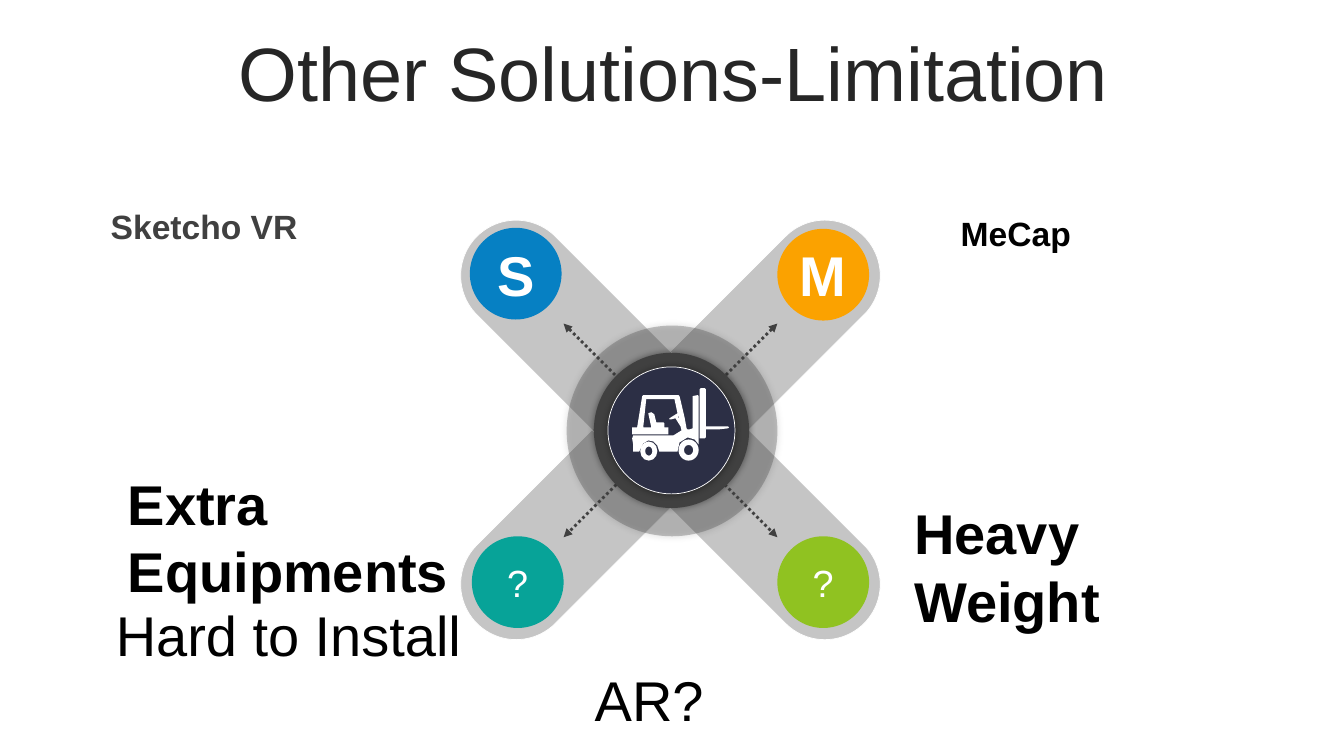
from dataclasses import dataclass

import lxml.etree
import pptx
import pptx.dml.color
import pptx.enum.dml
import pptx.enum.shapes
import pptx.enum.text
import pptx.oxml.ns
import pptx.util

RGBColor = pptx.dml.color.RGBColor
Shape = pptx.enum.shapes.MSO_SHAPE
Align = pptx.enum.text.PP_ALIGN
AutoSize = pptx.enum.text.MSO_AUTO_SIZE
qn = pptx.oxml.ns.qn

EMU_PER_PX = 9144
FONT = "Arial"
WHITE = RGBColor(0xFF, 0xFF, 0xFF)
BLACK = RGBColor(0x00, 0x00, 0x00)
CHARCOAL = RGBColor(0x40, 0x40, 0x40)
TITLE_GREY = RGBColor(0x26, 0x26, 0x26)
NAVY = RGBColor(0x2C, 0x2F, 0x45)
BLUE = RGBColor(0x06, 0x80, 0xC3)
ORANGE = RGBColor(0xFB, 0xA2, 0x00)
TEAL = RGBColor(0x07, 0xA3, 0x98)
GREEN = RGBColor(0x90, 0xC2, 0x21)

Contour = list[tuple[int, int]]


@dataclass(frozen=True)
class Figure:
    kind: int
    left: int
    top: int
    width: int
    height: int
    fill: RGBColor
    opacity: int = 100
    rotation: int = 0
    adjustment: float | None = None
    outlined: bool = False
    shadowed: bool = False
    text: str = ""


@dataclass(frozen=True)
class Label:
    left: int
    top: int
    width: int
    height: int
    lines: tuple[str, ...]
    size: int = 40
    colour: RGBColor = BLACK
    bold: bool = True
    wrap: bool = True
    align: Align = Align.LEFT


ARMS = [
    Figure(Shape.ROUNDED_RECTANGLE, 610, 155, 110, 543, CHARCOAL, 30, angle, 0.5, outlined=True)
    for angle in (45, 315)
]
HALO = Figure(Shape.OVAL, 562, 323, 209, 209, CHARCOAL, 30, shadowed=True)
HUB = [
    Figure(Shape.OVAL, 589, 350, 154, 154, CHARCOAL, shadowed=True),
    Figure(Shape.OVAL, 603, 364, 126, 126, NAVY, outlined=True, shadowed=True),
]
BADGES = [
    Figure(Shape.OVAL, 466, 226, 91, 91, BLUE),
    Figure(Shape.OVAL, 771, 227, 91, 91, ORANGE),
    Figure(Shape.OVAL, 468, 532, 91, 91, TEAL, text="?"),
    Figure(Shape.OVAL, 771, 532, 91, 91, GREEN, text="?"),
]
WHEELS = [
    Figure(Shape.DONUT, 673, 436, 20, 21, WHITE, adjustment=0.27),
    Figure(Shape.DONUT, 635, 438, 17, 19, WHITE, adjustment=0.29),
]
ARROWS = [((559, 321), (771, 533)), ((771, 321), (559, 533))]

TRUCK_CAB: list[Contour] = [
    [
        (627, 424), (632, 424), (637, 393), (638, 392), (673, 392), (674, 393),
        (675, 397), (679, 414), (681, 425), (682, 426), (684, 426), (687, 425),
        (687, 393), (692, 392), (693, 393), (693, 441), (689, 436), (682, 434),
        (674, 439), (672, 448), (654, 448), (652, 442), (648, 438), (643, 437),
        (638, 440), (634, 448), (628, 448), (628, 441), (627, 435), (628, 432),
        (668, 432), (676, 427), (675, 423), (670, 415), (666, 416), (664, 416),
        (664, 415), (672, 410), (669, 396), (641, 396), (638, 424), (646, 424),
        (643, 410), (646, 409), (649, 411), (651, 419), (658, 419), (659, 420),
        (659, 424), (663, 424), (663, 431), (627, 431),
    ],
    [(674, 416), (673, 413), (672, 413)],
]
TRUCK_MAST: list[Contour] = [
    [
        (694, 386), (695, 385), (699, 385), (700, 386), (700, 423), (722, 423),
        (723, 424), (722, 425), (713, 426), (700, 426), (700, 434), (699, 435),
        (694, 435),
    ],
]

LABELS = [
    Label(100, 199, 333, 50, ("Sketcho VR",), 24, CHARCOAL),
    Label(467, 234, 90, 77, ("S",), colour=WHITE, align=Align.CENTER),
    Label(771, 234, 90, 77, ("M",), colour=WHITE, align=Align.CENTER),
    Label(943, 206, 131, 50, ("MeCap",), 24, wrap=False),
    Label(117, 461, 368, 145, ("Extra", "Equipments")),
    Label(897, 490, 206, 145, ("Heavy", "Weight"), wrap=False),
    Label(105, 591, 366, 77, ("Hard to Install",), bold=False, wrap=False),
    Label(580, 655, 129, 77, ("AR?",), bold=False, wrap=False),
]


def emu(*lengths: int) -> list[int]:
    return [pptx.util.Emu(length * EMU_PER_PX) for length in lengths]


def add_run(para, text: str, size: int, colour: RGBColor, bold: bool = False) -> None:
    span = para.add_run()
    span.text = text
    span.font.name = FONT
    span.font.size = pptx.util.Pt(size)
    span.font.bold = bold
    span.font.color.rgb = colour


def set_title(page, text: str) -> None:
    title = page.shapes.title
    title.left, title.top, title.width, title.height = emu(35, 37, 1266, 79)
    frame = title.text_frame
    frame.word_wrap = True
    frame.auto_size = AutoSize.NONE
    frame.vertical_anchor = pptx.enum.text.MSO_ANCHOR.MIDDLE
    para = frame.paragraphs[0]
    para.alignment = Align.CENTER
    para.line_spacing = 0.9
    add_run(para, text, 54, TITLE_GREY)


def add_figure(page, figure: Figure) -> None:
    shape = page.shapes.add_shape(
        figure.kind, *emu(figure.left, figure.top, figure.width, figure.height)
    )
    shape.rotation = figure.rotation
    if figure.adjustment is not None:
        shape.adjustments[0] = figure.adjustment
    shape.fill.solid()
    shape.fill.fore_color.rgb = figure.fill
    properties = shape.element.spPr
    if figure.opacity < 100:
        colour = properties.find(qn("a:solidFill")).find(qn("a:srgbClr"))
        lxml.etree.SubElement(colour, qn("a:alpha"), val=str(figure.opacity * 1000))
    if figure.outlined:
        shape.line.color.rgb = WHITE
        shape.line.width = pptx.util.Pt(0.5)
    else:
        shape.line.fill.background()
    shape.shadow.inherit = False
    if figure.shadowed:
        effects = properties.find(qn("a:effectLst"))
        blur = str(int(pptx.util.Pt(5)))
        shadow = lxml.etree.SubElement(effects, qn("a:outerShdw"), blurRad=blur, dist="0", dir="0")
        colour = lxml.etree.SubElement(shadow, qn("a:srgbClr"), val=str(BLACK))
        lxml.etree.SubElement(colour, qn("a:alpha"), val="40000")
    if figure.text:
        frame = shape.text_frame
        frame.vertical_anchor = pptx.enum.text.MSO_ANCHOR.MIDDLE
        frame.paragraphs[0].alignment = Align.CENTER
        add_run(frame.paragraphs[0], figure.text, 27, WHITE)


def add_arrow(page, start: tuple[int, int], end: tuple[int, int]) -> None:
    arrow = page.shapes.add_connector(
        pptx.enum.shapes.MSO_CONNECTOR.STRAIGHT, *emu(*start, *end)
    )
    arrow.line.color.rgb = CHARCOAL
    arrow.line.width = pptx.util.Pt(2)
    arrow.line.dash_style = pptx.enum.dml.MSO_LINE.ROUND_DOT
    properties = arrow.element.spPr
    line = properties.find(qn("a:ln"))
    for tip in ("a:headEnd", "a:tailEnd"):
        lxml.etree.SubElement(line, qn(tip), type="triangle")
    lxml.etree.SubElement(properties, qn("a:effectLst"))


def add_outline(page, contours: list[Contour]) -> None:
    builder = page.shapes.build_freeform(*contours[0][0], scale=EMU_PER_PX)
    for index, contour in enumerate(contours):
        if index:
            builder.move_to(*contour[0])
        builder.add_line_segments(contour[1:], close=True)
    shape = builder.convert_to_shape()
    shape.fill.solid()
    shape.fill.fore_color.rgb = WHITE
    shape.line.fill.background()
    shape.shadow.inherit = False


def add_label(page, label: Label) -> None:
    box = page.shapes.add_textbox(*emu(label.left, label.top, label.width, label.height))
    frame = box.text_frame
    frame.word_wrap = label.wrap
    frame.auto_size = AutoSize.SHAPE_TO_FIT_TEXT
    for index, line in enumerate(label.lines):
        para = frame.add_paragraph() if index else frame.paragraphs[0]
        para.alignment = label.align
        add_run(para, line, label.size, label.colour, label.bold)


def main() -> None:
    deck = pptx.Presentation()
    deck.slide_width, deck.slide_height = emu(1333, 750)
    page = deck.slides.add_slide(deck.slide_layouts[5])
    set_title(page, "Other Solutions-Limitation")
    for figure in [*ARMS, HALO]:
        add_figure(page, figure)
    for start, end in ARROWS:
        add_arrow(page, start, end)
    for figure in [*HUB, *BADGES]:
        add_figure(page, figure)
    for contours in (TRUCK_CAB, TRUCK_MAST):
        add_outline(page, contours)
    for wheel in WHEELS:
        add_figure(page, wheel)
    for label in LABELS:
        add_label(page, label)
    deck.save("out.pptx")


if __name__ == "__main__":
    main()
